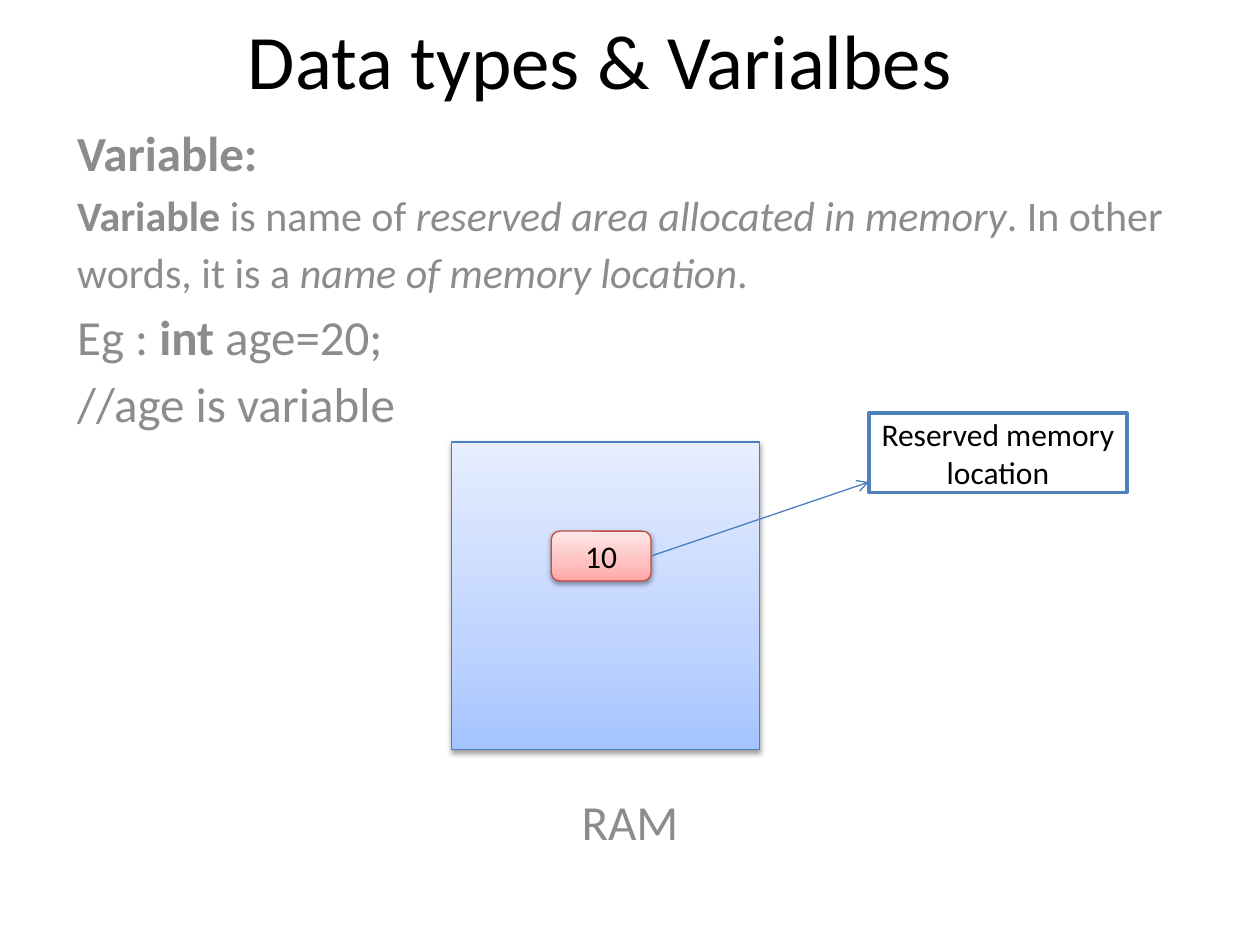
from lxml import etree
from pptx import Presentation
from pptx.dml.color import RGBColor
from pptx.enum.shapes import MSO_CONNECTOR, MSO_SHAPE
from pptx.enum.text import MSO_ANCHOR, PP_ALIGN
from pptx.oxml.ns import qn
from pptx.util import Pt

LEFT, CENTER = PP_ALIGN.LEFT, PP_ALIGN.CENTER
TOP, MIDDLE = MSO_ANCHOR.TOP, MSO_ANCHOR.MIDDLE
RECT, ROUNDED = MSO_SHAPE.RECTANGLE, MSO_SHAPE.ROUNDED_RECTANGLE
STRAIGHT = MSO_CONNECTOR.STRAIGHT
FONT = "Calibri"
BLACK, GRAY, WHITE = "000000", "8C8C8C", "FFFFFF"
BLUE, BLUE_EDGE, RED_EDGE = "4F81BD", "4B7EBC", "BF4C48"
BLUES = [(0, "A4C4FF"), (35, "BFD4FF"), (100, "E6EEFF")]
REDS = [(0, "FFA6A5"), (35, "FFC0BF"), (100, "FFE7E7")]


def color(value):
    return RGBColor.from_string(value)


def add_node(parent, tag, **attributes):
    return etree.SubElement(parent, qn(tag), {k: str(v) for k, v in attributes.items()})


def write(shape, paragraphs, size=18, fill=BLACK, align=CENTER, anchor=MIDDLE, gap=0):
    frame = shape.text_frame
    frame.word_wrap = True
    frame.vertical_anchor = anchor
    for index, spans in enumerate(paragraphs):
        para = frame.paragraphs[0] if index == 0 else frame.add_paragraph()
        para.alignment = align
        para.space_before = Pt(gap if index else 0)
        for text, style in spans:
            span = para.add_run()
            span.text = text
            span.font.name = FONT
            span.font.size = Pt(style.get("size", size))
            span.font.bold = style.get("bold", False)
            span.font.italic = style.get("italic", False)
            span.font.color.rgb = color(fill)


def add_text(page, box, paragraphs, **formats):
    shape = page.shapes.add_textbox(*map(Pt, box))
    write(shape, paragraphs, **formats)


def add_block(page, kind, box, edge, weight):
    shape = page.shapes.add_shape(kind, *map(Pt, box))
    shape.shadow.inherit = False
    shape.line.color.rgb = color(edge)
    shape.line.width = Pt(weight)
    return shape


def add_glossy(page, kind, box, edge, stops):
    shape = add_block(page, kind, box, edge, 0.75)
    shape.fill.gradient()
    shape.fill.gradient_angle = 90
    stop_list = shape.element.spPr.find(qn("a:gradFill")).find(qn("a:gsLst"))
    for old in list(stop_list):
        stop_list.remove(old)
    for position, value in stops:
        stop = add_node(stop_list, "a:gs", pos=position * 1000)
        add_node(stop, "a:srgbClr", val=value)
    effects = shape.element.spPr.find(qn("a:effectLst"))
    shadow = add_node(effects, "a:outerShdw", blurRad=Pt(3.1), dist=Pt(1.6),
                      dir=5400000, rotWithShape=0)
    add_node(add_node(shadow, "a:srgbClr", val=BLACK), "a:alpha", val=38000)
    return shape


def add_arrow(page, start, end):
    arrow = page.shapes.add_connector(STRAIGHT, *map(Pt, start + end))
    arrow.line.color.rgb = color(BLUE_EDGE)
    arrow.line.width = Pt(0.75)
    add_node(arrow.line._get_or_add_ln(), "a:tailEnd", type="arrow")
    add_node(arrow.element.spPr, "a:effectLst")


def add_definition(page, box):
    bold, italic, small = {"bold": True}, {"italic": True, "size": 24}, {"size": 24}
    add_text(page, box, [
        [("Variable:", bold)],
        [("Variable", {"bold": True, "size": 24}),
         ("\u00a0is name of\u00a0", small),
         ("reserved area allocated in memory", italic),
         (". In other words, it is a\u00a0", small),
         ("name of memory location", italic),
         (".", small), (" ", {})],
        [("Eg : ", {}), ("int\u00a0", bold), ("age=20;", {})],
        [("//age is variable", {})],
    ], size=28, fill=GRAY, align=LEFT, anchor=TOP, gap=4.7)


def add_memory_diagram(page, box):
    left, top, width, height = box
    side = 176
    add_glossy(page, RECT, (left, top + 16.5, side, side), BLUE_EDGE, BLUES)
    cell_left, cell_top, cell_width, cell_height = left + 57, top + 67.5, 57, 28.5
    cell = add_glossy(page, ROUNDED, (cell_left, cell_top, cell_width, cell_height),
                      RED_EDGE, REDS)
    write(cell, [[("10", {})]])
    label_width, label_height = 147.5, 45.5
    label_left = left + width - label_width
    add_arrow(page, (cell_left + cell_width, cell_top + cell_height / 2),
              (label_left, top + 39.5))
    label = add_block(page, RECT, (label_left, top, label_width, label_height), BLUE, 2)
    label.fill.solid()
    label.fill.fore_color.rgb = color(WHITE)
    write(label, [[("Reserved memory location", {})]])
    add_text(page, (left + 52, top + height - 41.5, 100, 41.5), [[("RAM", {})]],
             size=28, fill=GRAY, anchor=TOP)


deck = Presentation()
deck.slide_width, deck.slide_height = Pt(720), Pt(540)
page = deck.slides.add_slide(deck.slide_layouts[6])
add_definition(page, (37, 66.25, 663, 186))
add_text(page, (37, 0, 612, 67), [[("Data types & Varialbes", {})]], size=44)
add_memory_diagram(page, (258, 236, 386, 254))
deck.save("out.pptx")
